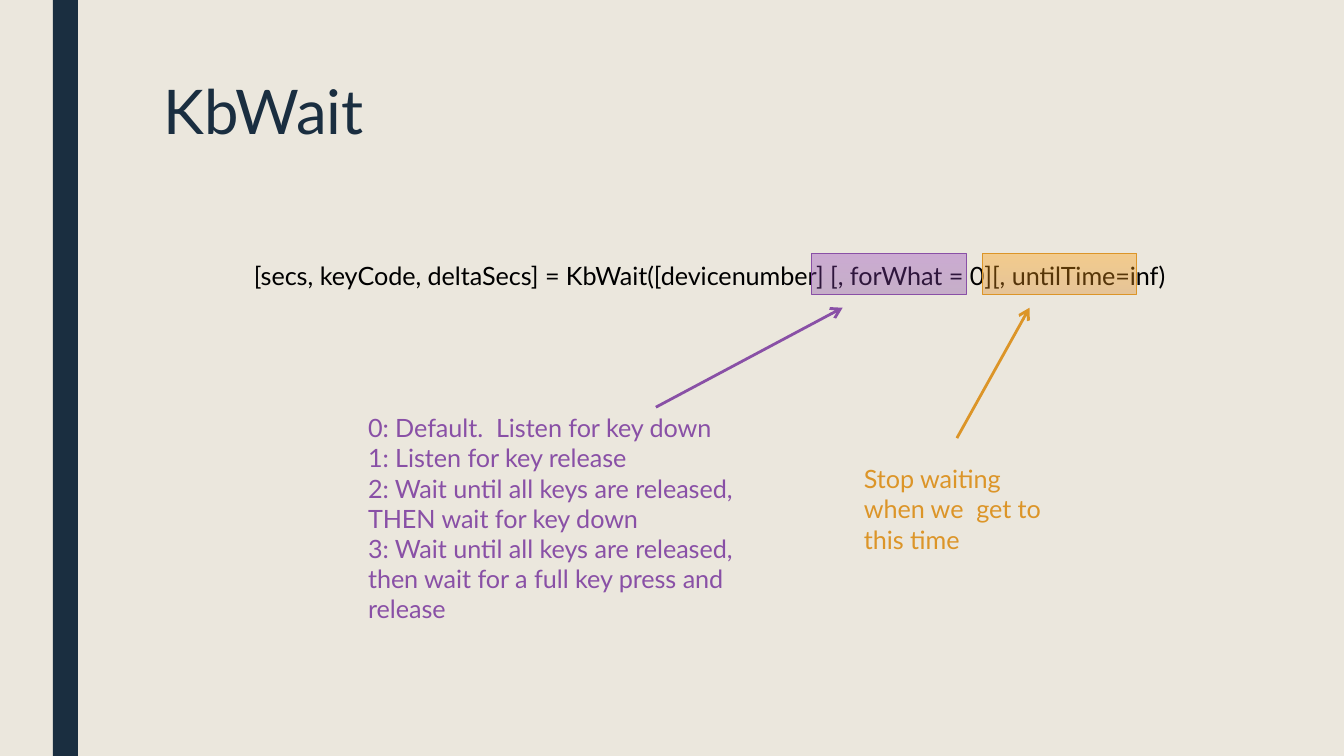
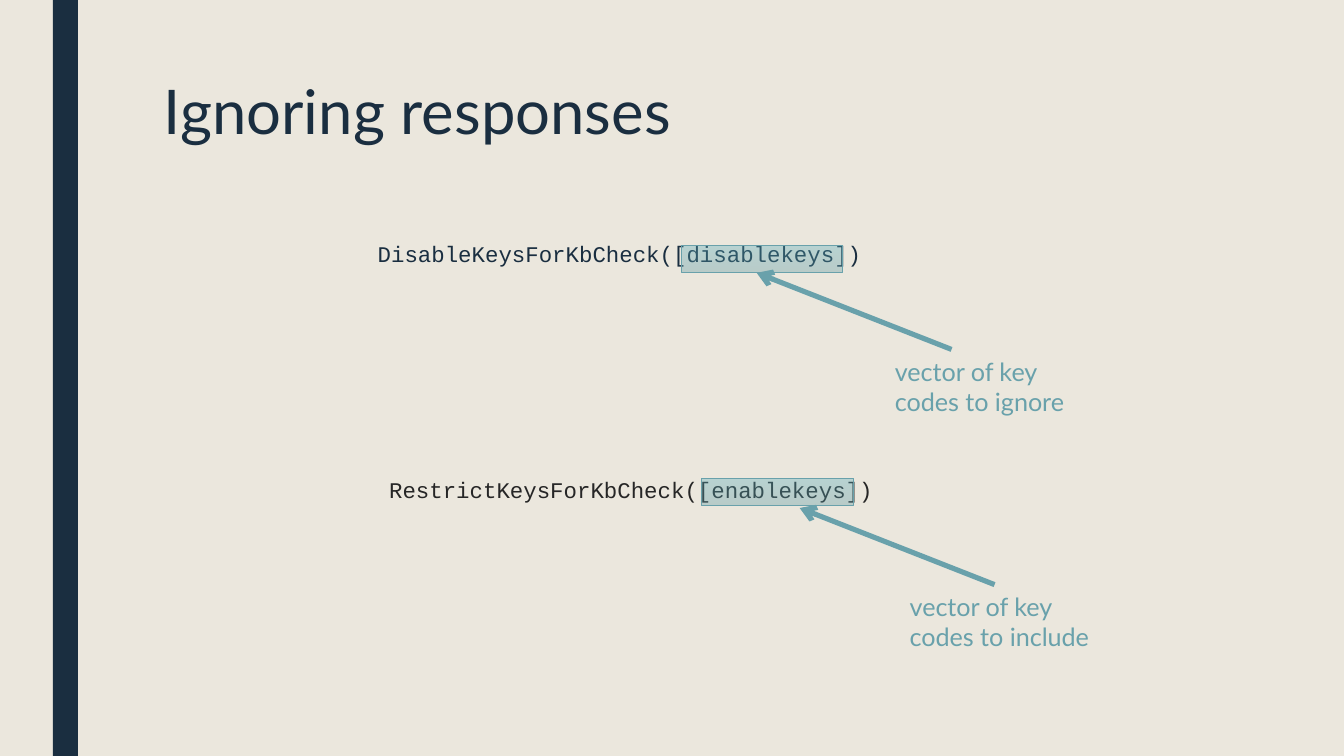
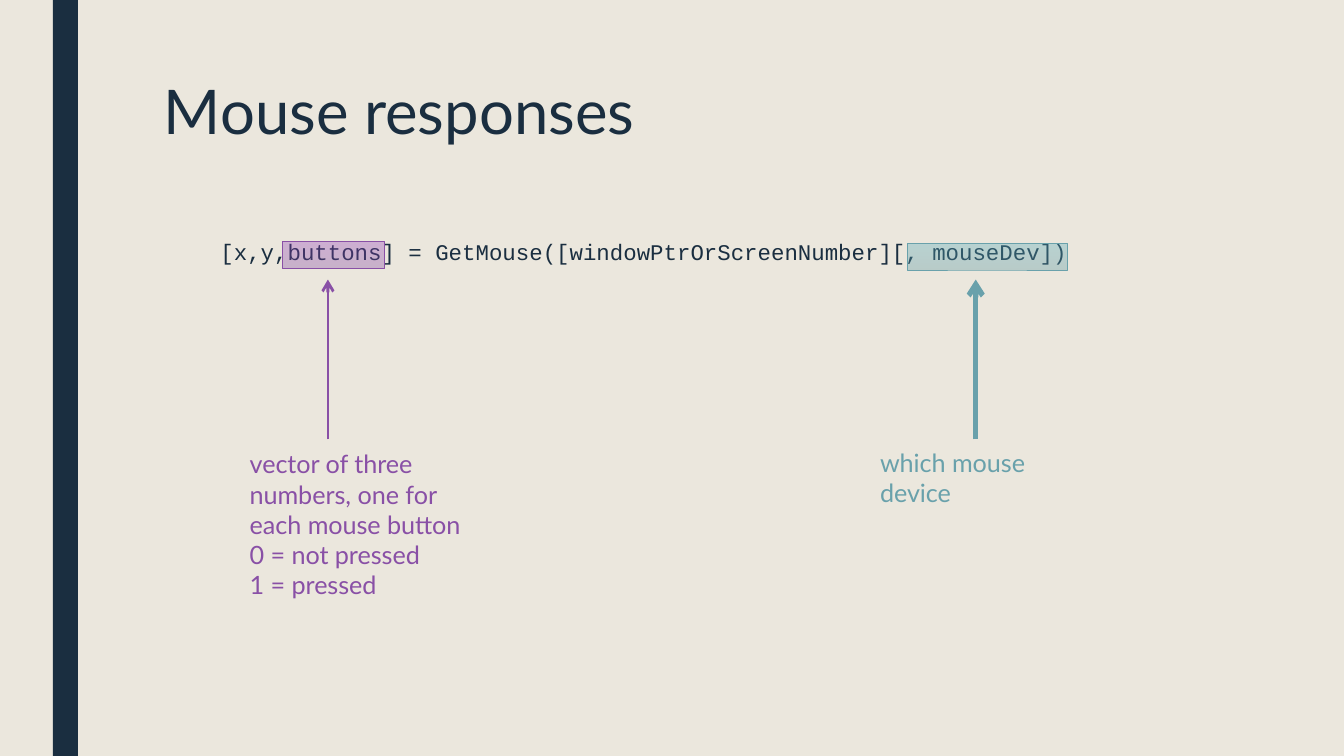
from collections import namedtuple

from lxml.etree import SubElement
from pptx import Presentation
from pptx.dml.color import RGBColor
from pptx.enum.shapes import MSO_CONNECTOR as Connector, MSO_SHAPE as Preset
from pptx.enum.text import MSO_ANCHOR as Anchor, MSO_AUTO_SIZE as AutoSize, PP_ALIGN as Align
from pptx.oxml.ns import qn
from pptx.util import Inches, Pt

COLORS = {
    "paper": "EBE7DD", "navy": "1A2E40", "black": "000000", "charcoal": "262626",
    "purple": "8950A6", "orange": "DC9528", "teal": "69A1AB",
}
# Gradient ends of each highlight tint
GRADIENTS = {
    "purple": ("8146A3", "903BBC"),
    "orange": ("DD8923", "FF9C05"),
    "teal": ("5A98A3", "58ACBB"),
}
SANS, MONO = "Lato", "Courier New"
TITLE_ONLY, TITLE_AND_BODY = 5, 1

# The slide is a 16:9 grid of square cells
CELL = Inches(0.1)
COLUMNS, ROWS = 100, 56.25

Box = namedtuple("Box", "left top width height")
TITLE_BOX = Box(11.2, 5.6, 78.8, 12.2)
BAND_BOX = Box(3.93, 0, 1.88, ROWS)


def cells(*counts):
    return [round(count * CELL) for count in counts]


def inside(box, left, top, width, height):
    """Turn offsets within a box into a box on the slide."""
    return Box(box.left + left, box.top + top, width, height)


def color(name):
    return RGBColor.from_string(COLORS.get(name, name))


def place(shape, box):
    shape.left, shape.top, shape.width, shape.height = cells(*box)


def write(shape, text, font=SANS, size=13.5, tint="black", inset=(1, 0.5),
          grow=True, spacing=None, before=0, after=0):
    """Fill a text shape, one paragraph per line of text."""
    frame = shape.text_frame
    frame.word_wrap = True
    frame.auto_size = AutoSize.SHAPE_TO_FIT_TEXT if grow else AutoSize.NONE
    frame.vertical_anchor = Anchor.TOP
    frame.margin_left, frame.margin_top = cells(*inset)
    frame.margin_right, frame.margin_bottom = cells(*inset)
    for number, line in enumerate(text.split("\n")):
        para = frame.add_paragraph() if number else frame.paragraphs[0]
        para.alignment = Align.LEFT
        para.line_spacing = spacing
        para.space_before, para.space_after = Pt(before), Pt(after)
        span = para.add_run()
        span.text = line
        span.font.name, span.font.size = font, Pt(size)
        span.font.color.rgb = color(tint)


def add_text(page, text, box, **style):
    shape = page.shapes.add_textbox(*cells(*box))
    write(shape, text, **style)


def add_page(deck, title, layout):
    """Start a slide with the shared background, band and title."""
    page = deck.slides.add_slide(deck.slide_layouts[layout])
    band = page.shapes.add_shape(Preset.RECTANGLE, *cells(*BAND_BOX))
    band.shadow.inherit = False
    band.fill.solid()
    band.fill.fore_color.rgb = color("navy")
    band.line.fill.background()
    place(page.shapes.title, TITLE_BOX)
    write(page.shapes.title, title, size=33, tint="navy", grow=False, spacing=0.89)
    return page


def add_code_body(page, text, box):
    """Show a line of code in the body placeholder, without a bullet."""
    body = page.placeholders[1]
    place(body, box)
    write(body, text, font=MONO, size=12, tint="navy", inset=(1, 0.55),
          grow=False, spacing=0.94, before=7.5, after=1.5)
    for para in body.text_frame.paragraphs:
        props = para._p.get_or_add_pPr()
        props.set("marL", "0")
        props.set("indent", "0")
        SubElement(props, qn("a:buNone"))


def add_highlight(page, box, tint, opacity):
    mark = page.shapes.add_shape(Preset.RECTANGLE, *cells(*box))
    mark.shadow.inherit = False
    mark.fill.gradient()
    mark.fill.gradient_angle = 90
    for stop, shade, position in zip(mark.fill.gradient_stops, GRADIENTS[tint], (0, 1)):
        stop.color.rgb = color(shade)
        stop.position = position
    for shade in mark._element.spPr.iter(qn("a:srgbClr")):
        SubElement(shade, qn("a:alpha"), val=str(opacity * 1000))
    mark.line.color.rgb = color(tint)
    mark.line.width = Pt(0.5)


def add_arrow(page, start, end, tint, weight):
    arrow = page.shapes.add_connector(Connector.STRAIGHT, *cells(*start, *end))
    arrow.line.color.rgb = color(tint)
    arrow.line.width = Pt(weight)
    SubElement(arrow.line._get_or_add_ln(), qn("a:tailEnd"), type="arrow")
    SubElement(arrow._element.spPr, qn("a:effectLst"))


def explain(page, box, text, mark, start, end, note, tint, opacity=34, weight=1.5):
    """Highlight part of a code line and point to it from a note; offsets are from its box."""
    add_highlight(page, inside(box, *mark), tint, opacity)
    start, end = [(box.left + x, box.top + y) for x, y in (start, end)]
    add_arrow(page, start, end, tint, weight)
    add_text(page, text, inside(box, *note), tint=tint)


def build_wait(deck):
    page = add_page(deck, "KbWait", TITLE_ONLY)
    code = Box(17.9, 18.9, 74.6, 3.3)
    add_text(page, "[secs, keyCode, deltaSecs] = KbWait([devicenumber] "
                   "[, forWhat = 0][, untilTime=inf)", code)
    modes = ("0: Default.  Listen for key down\n"
             "1: Listen for key release\n"
             "2: Wait until all keys are released, THEN wait for key down\n"
             "3: Wait until all keys are released, then wait for a full key press and release")
    explain(page, code, modes, mark=(42.5, 0, 11.5, 3), start=(30.9, 11.4),
            end=(44.8, 4), note=(8.5, 11.3, 30.5, 16.9), tint="purple", opacity=35)
    explain(page, code, "Stop waiting when we  get to this time",
            mark=(55.2, 0, 11.5, 3), start=(53.3, 13.7), end=(58.7, 4),
            note=(45.4, 15.1, 15.8, 7.8), tint="orange", opacity=36)


def build_ignoring(deck):
    page = add_page(deck, "Ignoring responses", TITLE_AND_BODY)
    disable = Box(27.1, 17.5, 39.6, 4.1)
    restrict = Box(28.2, 35, 39.6, 4.1)
    add_code_body(page, "DisableKeysForKbCheck([disablekeys])", disable)
    add_text(page, "RestrictKeysForKbCheck([enablekeys])", restrict, font=MONO, size=12,
             tint="charcoal", inset=(0.75, 0.4), grow=False, before=20)
    # Both notes and arrows hang alike below their code line
    for box, verb, mark, tip in (
        (disable, "ignore", (23.6, 0.8, 12, 2), 29.2),
        (restrict, "include", (24, 0.6, 11.3, 2), 31.3),
    ):
        explain(page, box, f"vector of key codes to {verb}", mark=mark,
                start=(tip + 14.5, 8.5), end=(tip, 2.8), note=(38.5, 8.5, 16.5, 5.6),
                tint="teal", weight=2.75)


def build_mouse(deck):
    page = add_page(deck, "Mouse responses", TITLE_AND_BODY)
    code = Box(15.4, 17.3, 70.8, 30)
    add_code_body(page, "[x,y,buttons] = GetMouse([windowPtrOrScreenNumber][, mouseDev])", code)
    explain(page, code, "which mouse device", mark=(52.1, 0.8, 11.9, 2),
            start=(57.2, 15.4), end=(57.2, 3.5), note=(49.1, 15.5, 18, 5.6),
            tint="teal", weight=2.75)
    explain(page, code, "vector of three numbers, one for each mouse button\n"
                        "0 = not pressed\n1 = pressed",
            mark=(5.6, 0.7, 7.6, 2), start=(9, 15.4), end=(9, 3.5),
            note=(2.2, 15.6, 18, 12.4), tint="purple", opacity=33)


def main():
    deck = Presentation()
    deck.slide_width, deck.slide_height = cells(COLUMNS, ROWS)
    backdrop = deck.slide_master.background.fill
    backdrop.solid()
    backdrop.fore_color.rgb = color("paper")
    for build in (build_wait, build_ignoring, build_mouse):
        build(deck)
    deck.save("out.pptx")


if __name__ == "__main__":
    main()
